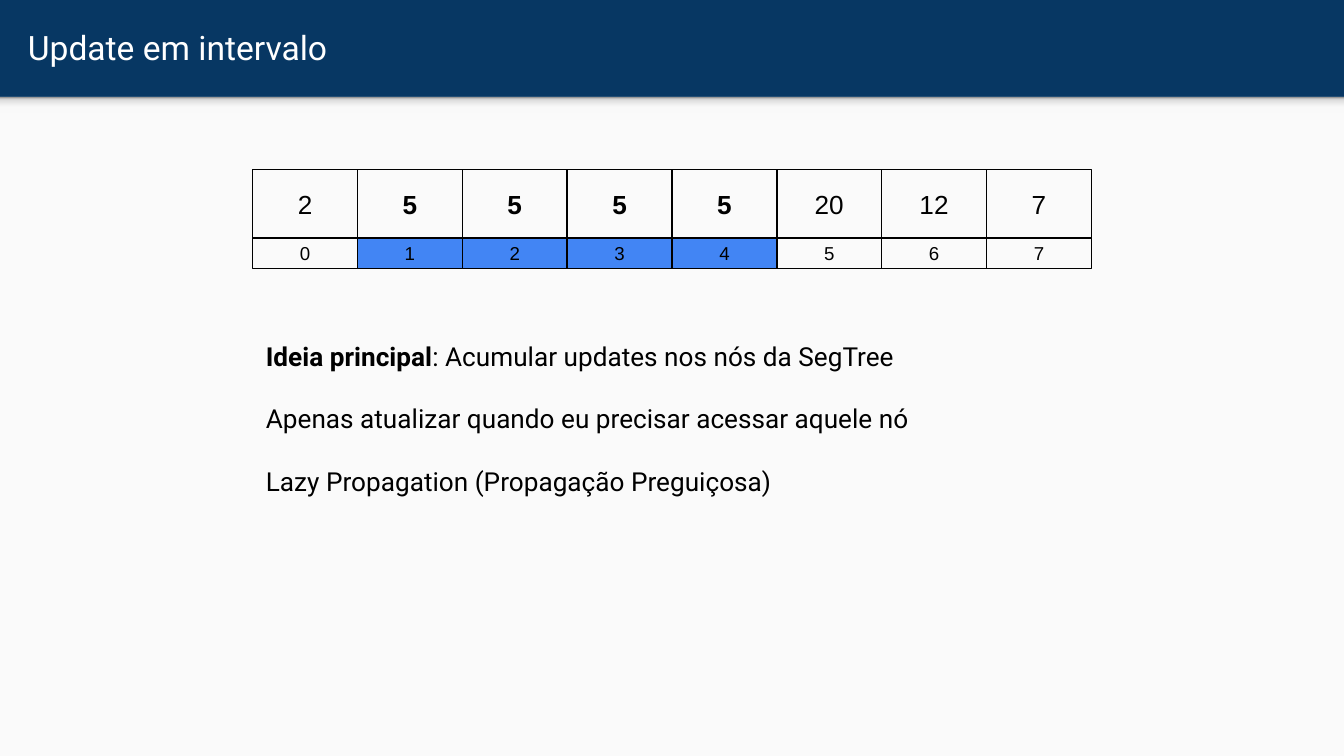
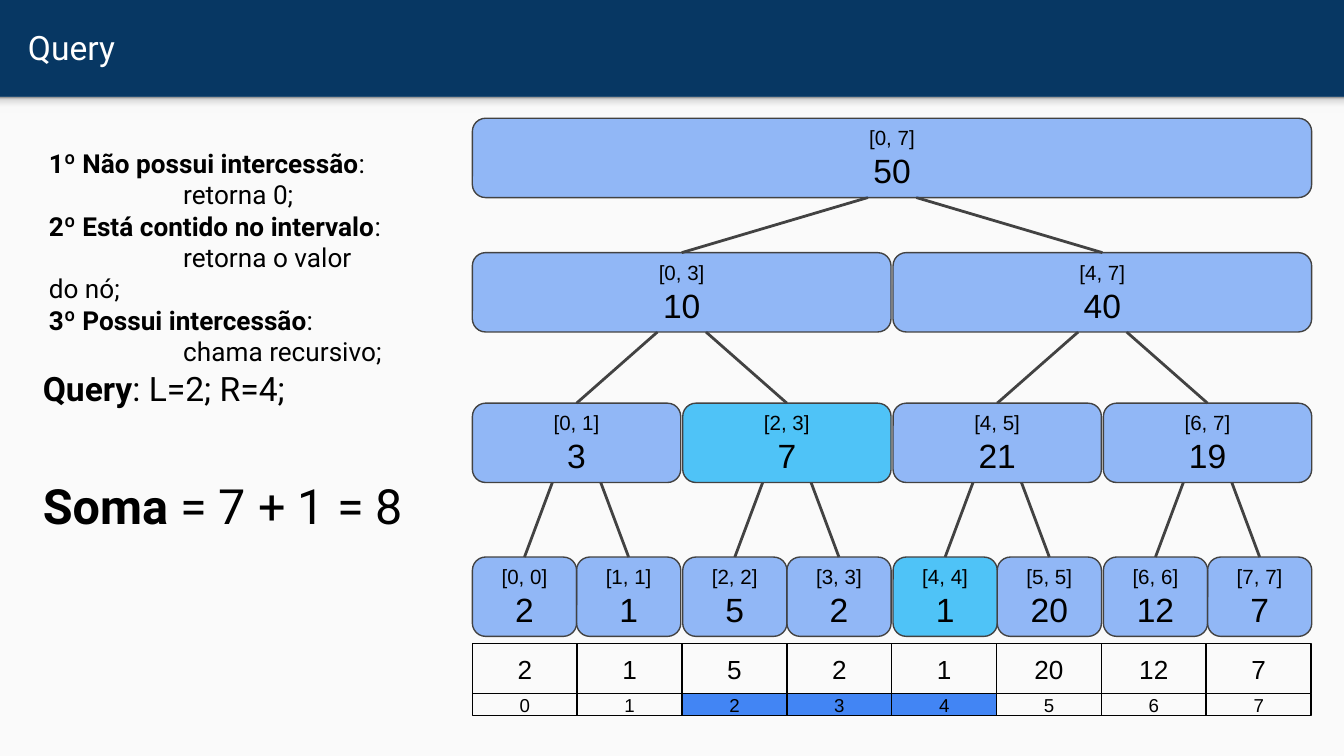
import lxml.etree
import pptx
import pptx.dml.color
import pptx.enum.shapes
import pptx.enum.text
import pptx.oxml.ns
import pptx.util

RGB = pptx.dml.color.RGBColor
SHAPE = pptx.enum.shapes.MSO_SHAPE
CENTER = pptx.enum.text.PP_ALIGN.CENTER
MIDDLE = pptx.enum.text.MSO_ANCHOR.MIDDLE
TOP = pptx.enum.text.MSO_ANCHOR.TOP
qn = pptx.oxml.ns.qn

NAVY = RGB(0x07, 0x37, 0x63)
PAPER = RGB(0xFA, 0xFA, 0xFA)
BLACK = RGB(0, 0, 0)
WHITE = RGB(0xFF, 0xFF, 0xFF)
BLUE = RGB(0x42, 0x85, 0xF4)
CYAN = RGB(0x4F, 0xC3, 0xF7)
GRAY = RGB(0x42, 0x42, 0x42)
SHADE_STOPS = [
    (0, RGB(0xF9, 0xF9, 0xF9)),
    (36, RGB(0xF9, 0xF9, 0xF9)),
    (80, RGB(0xDE, 0xDE, 0xDE)),
    (100, RGB(0x99, 0x99, 0x99)),
]

# The slide is a grid of square units; every length below counts them.
UNIT = pptx.util.Inches(0.1)
COLUMNS, ROWS = 100, 56.25
BAND_ROWS = 7.2
INSET = 1
ARRAY_STEP = 7.8

LEAF_WIDTH = 7.75
PAIR_STEP = 15.65
TREE_LEFT = 35.15
LEVEL_TOPS = [8.8, 18.8, 30, 41.45]
NODE_HEIGHT = 5.9
BRANCH_SPREAD = 1.8


def units(*lengths):
    """Turn grid units into slide lengths."""
    return [round(length * UNIT) for length in lengths]


def add_text(frame, text, lead="", size=14, font="Roboto", color=BLACK,
             bold=False, align=None, space_before=0, first_indent=0):
    """Add one paragraph; lead is a bold opening before the text."""
    paragraph = frame.paragraphs[0]
    if paragraph.runs:
        paragraph = frame.add_paragraph()
    paragraph.alignment = align
    paragraph.space_before = pptx.util.Pt(space_before)
    if first_indent:
        paragraph._p.get_or_add_pPr().set("indent", str(units(first_indent)[0]))
    for words, heavy in ((lead, True), (text, bold)):
        if words:
            run = paragraph.add_run()
            run.text = words
            run.font.name = font
            run.font.size = pptx.util.Pt(size)
            run.font.bold = heavy
            run.font.color.rgb = color


def set_frame(frame, anchor):
    frame.word_wrap = True
    frame.vertical_anchor = anchor
    frame.margin_left, frame.margin_right = units(INSET, INSET)
    frame.margin_top, frame.margin_bottom = units(INSET, INSET)
    return frame


def add_text_area(slide, left, top, width, height, anchor=TOP):
    area = slide.shapes.add_textbox(*units(left, top, width, height))
    return set_frame(area.text_frame, anchor)


def add_block(slide, kind, left, top, width, height, fill=None, line=None):
    block = slide.shapes.add_shape(kind, *units(left, top, width, height))
    block.shadow.inherit = False
    if fill is None:
        block.fill.background()
    else:
        block.fill.solid()
        block.fill.fore_color.rgb = fill
    if line is None:
        block.line.fill.background()
    else:
        block.line.color.rgb = line
        block.line.width = pptx.util.Pt(0.75)
    set_frame(block.text_frame, MIDDLE)
    return block


def add_branch(slide, x1, y1, x2, y2):
    branch = slide.shapes.add_connector(
        pptx.enum.shapes.MSO_CONNECTOR.STRAIGHT, *units(x1, y1, x2, y2))
    branch.line.color.rgb = GRAY
    branch.line.width = pptx.util.Pt(1.5)
    lxml.etree.SubElement(branch._element.spPr, qn("a:effectLst"))


def shade_upwards(block):
    """Fill with the soft shadow that darkens towards the title band."""
    block.fill.gradient()
    block.fill.gradient_angle = 90
    stops = block._element.spPr.find(".//" + qn("a:gsLst"))
    stops.clear()
    for percent, color in SHADE_STOPS:
        stop = lxml.etree.SubElement(stops, qn("a:gs"), pos=str(percent * 1000))
        lxml.etree.SubElement(stop, qn("a:srgbClr"), val=str(color))


def make_translucent(block, percent):
    color = block._element.spPr.find(qn("a:solidFill")).find(qn("a:srgbClr"))
    lxml.etree.SubElement(color, qn("a:alpha"), val=str(percent * 1000))


def start_slide(deck, title):
    slide = deck.slides.add_slide(deck.slide_layouts[6])
    slide.background.fill.solid()
    slide.background.fill.fore_color.rgb = NAVY
    add_block(slide, SHAPE.RECTANGLE, 0, BAND_ROWS, COLUMNS, ROWS - BAND_ROWS, PAPER)
    shade_upwards(add_block(slide, SHAPE.RECTANGLE, 0, BAND_ROWS, COLUMNS, 1.2))
    heading = add_text_area(slide, 1.1, 0.2, 96.5, 6.6, MIDDLE)
    add_text(heading, title, size=18, color=WHITE)
    return slide


def add_array(slide, left, top, values, marked, value_height, index_height,
              bold_marked=False):
    """Draw the values over their indexes, with the marked indexes filled."""
    for index, value in enumerate(values):
        x = left + index * ARRAY_STEP
        is_marked = index in marked
        value_cell = add_block(slide, SHAPE.RECTANGLE, x, top,
                               ARRAY_STEP, value_height, line=BLACK)
        add_text(value_cell.text_frame, str(value), font="Arial", align=CENTER,
                 bold=bold_marked and is_marked)
        index_cell = add_block(slide, SHAPE.RECTANGLE, x, top + value_height,
                               ARRAY_STEP, index_height,
                               BLUE if is_marked else None, BLACK)
        add_text(index_cell.text_frame, str(index), size=10, font="Arial", align=CENTER)


def leaf_left(index):
    return TREE_LEFT + index // 2 * PAIR_STEP + index % 2 * LEAF_WIDTH


def add_tree(slide, values, used, first, last, level=0):
    """Draw the node of first..last and its subtrees; return its centre."""
    left = leaf_left(first)
    width = leaf_left(last) + LEAF_WIDTH - left
    top = LEVEL_TOPS[level]
    center = left + width / 2
    if first < last:
        middle = (first + last) // 2
        for side, start, end in ((-1, first, middle), (1, middle + 1, last)):
            child = add_tree(slide, values, used, start, end, level + 1)
            add_branch(slide, center + side * BRANCH_SPREAD, top + NODE_HEIGHT,
                       child, LEVEL_TOPS[level + 1])
    is_used = (first, last) in used
    node = add_block(slide, SHAPE.ROUNDED_RECTANGLE, left, top, width, NODE_HEIGHT,
                     CYAN if is_used else BLUE, GRAY)
    if not is_used:
        make_translucent(node, 57)
    add_text(node.text_frame, f"[{first}, {last}]", size=11, font="Arial", align=CENTER)
    add_text(node.text_frame, str(sum(values[first:last + 1])), size=18,
             font="Arial", align=CENTER)
    return center


def build_update_slide(deck):
    slide = start_slide(deck, "Update em intervalo")
    add_array(slide, 18.8, 12.6, [2, 5, 5, 5, 5, 20, 12, 7], range(1, 5),
              5.1, 2.3, bold_marked=True)
    idea = add_text_area(slide, 18.8, 24.3, 62.5, 16.2)
    add_text(idea, ": Acumular updates nos nós da SegTree", lead="Ideia principal")
    for line in ("Apenas atualizar quando eu precisar acessar aquele nó",
                 "Lazy Propagation (Propagação Preguiçosa)"):
        add_text(idea, line, space_before=16.8)


def build_query_slide(deck):
    slide = start_slide(deck, "Query")
    values = [2, 1, 5, 2, 1, 20, 12, 7]
    add_array(slide, TREE_LEFT, 47.9, values, range(2, 5), 3.7, 1.65)
    add_tree(slide, values, {(2, 3), (4, 4)}, 0, len(values) - 1)

    cases = add_text_area(slide, 2.65, 9.95, 27.1, 16.2)
    for case, answer in (("1º Não possui intercessão", "retorna 0;"),
                         ("2º Está contido no intervalo", "retorna o valor do nó;"),
                         ("3º Possui intercessão", "chama recursivo;")):
        add_text(cases, ":", lead=case)
        add_text(cases, answer, first_indent=10)

    query = add_text_area(slide, 2.2, 26.35, 25.6, 8.1)
    add_text(query, ": L=2; R=4;", lead="Query", size=18)
    total = add_text_area(slide, 2.2, 34.4, 31.7, 6.4)
    add_text(total, " = 7 + 1 = 8", lead="Soma", size=26)


def main():
    deck = pptx.Presentation()
    deck.slide_width, deck.slide_height = units(COLUMNS, ROWS)
    build_update_slide(deck)
    build_query_slide(deck)
    deck.save("out.pptx")


if __name__ == "__main__":
    main()
